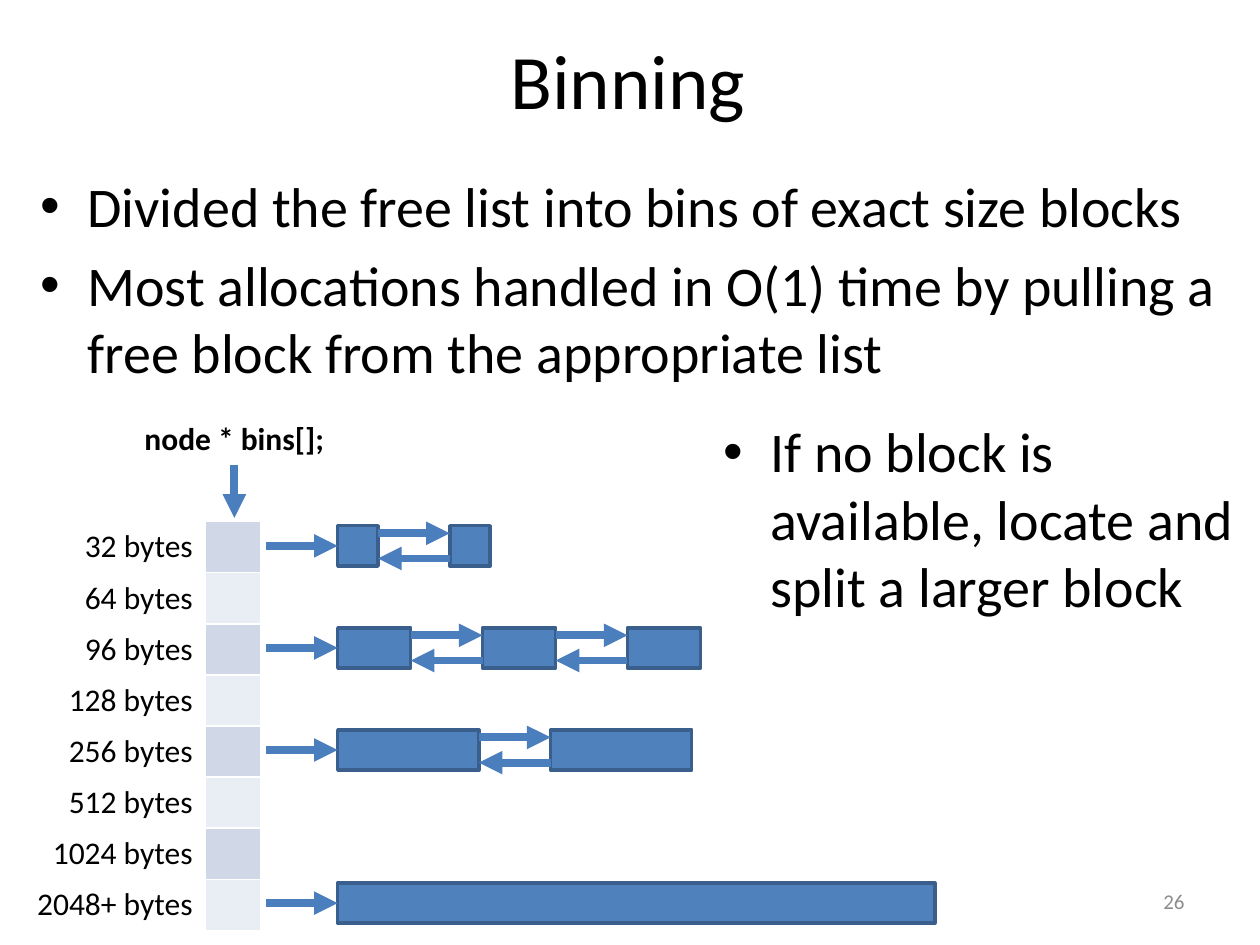
"""Build the slide on binning free blocks by size."""
import pptx
import pptx.util
import pptx.dml.color
import pptx.enum.shapes
import pptx.enum.text
import pptx.oxml
import pptx.oxml.ns

RGB = pptx.dml.color.RGBColor
BLACK = RGB(0, 0, 0)
GREY = RGB(0x8C, 0x8C, 0x8C)
BLUE = RGB(0x4F, 0x81, 0xBD)
EDGE = RGB(0x3A, 0x5F, 0x8C)
ARROW = RGB(0x4B, 0x7E, 0xBC)
BANDS = [RGB(0xD0, 0xD8, 0xE8), RGB(0xE9, 0xED, 0xF4)]
ALIGN = pptx.enum.text.PP_ALIGN
ANCHOR = pptx.enum.text.MSO_ANCHOR
Pt = pptx.util.Pt

deck = pptx.Presentation()
deck.slide_width = pptx.util.Inches(10)
deck.slide_height = pptx.util.Inches(7.5)
slide = deck.slides.add_slide(deck.slide_layouts[6])
shapes = slide.shapes
UNIT = deck.slide_width / 100


def write(frame, lines, size, align, color=BLACK, bold=False):
    frame.text = "\n".join(lines)
    for para in frame.paragraphs:
        para.alignment = align
        font = para.runs[0].font
        font.name, font.size, font.bold = "Calibri", Pt(size), bold
        font.color.rgb = color


def arrow(x1, y1, x2, y2):
    ends = [round(v * UNIT) for v in (x1, y1, x2, y2)]
    line = shapes.add_connector(pptx.enum.shapes.MSO_CONNECTOR.STRAIGHT, *ends)
    line.line.color.rgb = ARROW
    line.line.width = Pt(4.5)
    tip = pptx.oxml.parse_xml('<a:tailEnd %s type="triangle"/>' % pptx.oxml.ns.nsdecls("a"))
    line.line._get_or_add_ln().append(tip)
    flat = pptx.oxml.parse_xml("<a:effectLst %s/>" % pptx.oxml.ns.nsdecls("a"))
    line._element.spPr.append(flat)
    return line


LABELS = ["32 bytes", "64 bytes", "96 bytes", "128 bytes",
          "256 bytes", "512 bytes", "1024 bytes", "2048+ bytes"]
TOP, ROW = 41.4, 4.05
COLS = [14.6, 4.4]
area = [round(v * UNIT) for v in (1.7, TOP, sum(COLS), ROW * len(LABELS))]
table = shapes.add_table(len(LABELS), len(COLS), *area).table
table.first_row = table.horz_banding = False
for col, wide in zip(table.columns, COLS):
    col.width = round(wide * UNIT)
for i, label in enumerate(LABELS):
    name, bin_cell = table.cell(i, 0), table.cell(i, 1)
    write(name.text_frame, [label], 18, ALIGN.RIGHT)
    name.fill.background()
    bin_cell.fill.solid()
    bin_cell.fill.fore_color.rgb = BANDS[i % 2]

LEFT, TALL, GAP = 26.8, 3.2, 5.7
arrow(18.6, 36.9, 18.6, 41.1)
for row, count, wide in [(0, 2, 3.2), (2, 3, 5.8), (4, 2, 11.2), (7, 1, 47.4)]:
    mid = TOP + ROW * (row + 0.5) - 0.1
    for n in range(count):
        x = LEFT + n * (wide + GAP)
        area = [round(v * UNIT) for v in (x, mid - TALL / 2, wide, TALL)]
        block = shapes.add_shape(pptx.enum.shapes.MSO_SHAPE.RECTANGLE, *area)
        block.shadow.inherit = False
        block.fill.solid()
        block.fill.fore_color.rgb = BLUE
        block.line.color.rgb = EDGE
        block.line.width = Pt(2)
        if n == 0:
            arrow(21.1, mid, LEFT, mid).end_connect(block, 1)
        else:
            arrow(x - GAP, mid - 1, x, mid - 1)
            arrow(x, mid + 1, x - GAP, mid + 1)

TEXTS = [
    ((0.5, 0, 98.7, 12.5), ["Binning"], 44, ALIGN.CENTER, BLACK, False, ANCHOR.MIDDLE),
    ((71.7, 69.5, 23.3, 4), ["26"], 12, ALIGN.RIGHT, GREY, False, ANCHOR.MIDDLE),
    ((10.4, 32.8, 16.4, 4), ["node * bins[];"], 18, ALIGN.CENTER, BLACK, True, ANCHOR.TOP),
    ((2.2, 13.1, 95.7, 20.1),
     ["Divided the free list into bins of exact size blocks",
      "Most allocations handled in O(1) time by pulling a free block from the appropriate list"],
     32, ALIGN.LEFT, BLACK, False, ANCHOR.TOP),
    ((56.4, 32.6, 42.8, 36.2),
     ["If no block is available, locate and split a larger block"],
     32, ALIGN.LEFT, BLACK, False, ANCHOR.TOP),
]
for place, lines, size, align, color, bold, anchor in TEXTS:
    frame = shapes.add_textbox(*[round(v * UNIT) for v in place]).text_frame
    frame.word_wrap = not bold
    frame.vertical_anchor = anchor
    write(frame, lines, size, align, color, bold)
    if size == 32:
        for para in frame.paragraphs:
            para.space_before = Pt(7)
            props = para._p.get_or_add_pPr()
            props.set("marL", str(round(3.75 * UNIT)))
            props.set("indent", str(round(-3.75 * UNIT)))
            for tag in ('buFont %s typeface="Arial"', 'buChar %s char="•"'):
                props.append(pptx.oxml.parse_xml("<a:%s/>" % (tag % pptx.oxml.ns.nsdecls("a"))))

deck.save("out.pptx")
